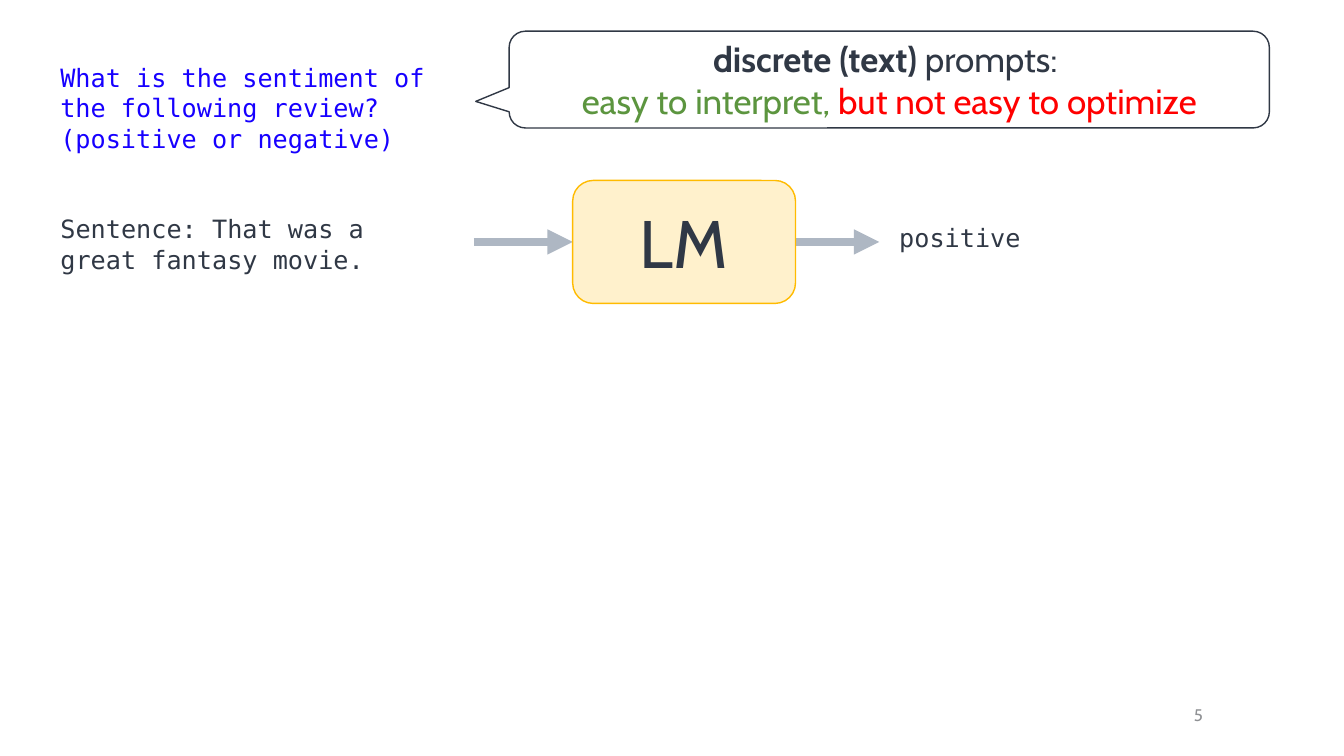
from dataclasses import dataclass

from lxml import etree
from pptx import Presentation
from pptx import util as u
from pptx.dml.color import RGBColor
from pptx.enum import shapes, text
from pptx.oxml import ns
from pptx.shapes.autoshape import Shape
from pptx.slide import Slide

COLORS = {
    "ink": "303845",
    "prompt": "1700FF",
    "number": "8F9194",
    "arrow": "AEB7C3",
    "model_fill": "FFF1CC",
    "model_line": "FFBB00",
    "white": "FFFFFF",
    "good": "5C953F",
    "bad": "FF0000",
}
SANS = "Cabin"
MONO = "DejaVu Sans Mono"
ARROW_Y = 2.4


@dataclass
class Box:
    left: float
    top: float
    width: float
    height: float


@dataclass
class Piece:
    text: str
    color: str = "ink"
    bold: bool = False
    break_after: bool = False


@dataclass
class Label:
    box: Box
    piece: Piece
    font: str = MONO
    size: float = 18
    align: text.PP_ALIGN = text.PP_ALIGN.LEFT
    anchor: text.MSO_ANCHOR = text.MSO_ANCHOR.TOP


@dataclass
class Node:
    kind: shapes.MSO_SHAPE
    box: Box
    fill: str
    line: str
    size: float
    pieces: list[Piece]
    adjustments: tuple[float, ...] = ()
    side_inset: float = 0.1


@dataclass
class Arrow:
    start: float
    end: float


LABELS = [
    Label(Box(0.5, 0.57, 4.06, 1.31),
          Piece("What is the sentiment of the following review? (positive or negative)", "prompt")),
    Label(Box(0.5, 2.07, 3.82, 0.71), Piece("Sentence: That was a great fantasy movie.")),
    Label(Box(8.82, 2.16, 3.03, 0.4), Piece("positive")),
    Label(Box(11.45, 6.89, 0.58, 0.4), Piece("5", "number"), SANS, 12,
          text.PP_ALIGN.RIGHT, text.MSO_ANCHOR.MIDDLE),
]
NODES = [
    Node(shapes.MSO_SHAPE.ROUNDED_RECTANGLE, Box(5.68, 1.79, 2.21, 1.22),
         "model_fill", "model_line", 48, [Piece("LM")]),
    Node(shapes.MSO_SHAPE.ROUNDED_RECTANGULAR_CALLOUT, Box(5.05, 0.31, 7.54, 0.96),
         "white", "ink", 25,
         [Piece("discrete (text) ", bold=True),
          Piece("prompts: ", break_after=True),
          Piece("easy to interpret, ", "good"),
          Piece("but not easy to optimize", "bad")],
         (-0.544, 0.226, 0.167), 0),
]
ARROWS = [Arrow(4.7, 5.68), Arrow(7.89, 8.72)]


def rgb(name: str) -> RGBColor:
    return RGBColor.from_string(COLORS[name])


def place(box: Box) -> tuple[u.Length, ...]:
    return tuple(u.Inches(v) for v in (box.left, box.top, box.width, box.height))


def write(sp: Shape, pieces: list[Piece], font: str, size: float,
          align: text.PP_ALIGN, anchor: text.MSO_ANCHOR) -> None:
    tf = sp.text_frame
    tf.word_wrap = True
    tf.vertical_anchor = anchor
    p = tf.paragraphs[0]
    p.alignment = align
    for piece in pieces:
        r = p.add_run()
        r.text = piece.text
        r.font.name = font
        r.font.size = u.Pt(size)
        r.font.bold = piece.bold
        r.font.color.rgb = rgb(piece.color)
        if piece.break_after:
            p.add_line_break()


def add_label(s: Slide, label: Label) -> None:
    sp = s.shapes.add_textbox(*place(label.box))
    write(sp, [label.piece], label.font, label.size, label.align, label.anchor)


def add_node(s: Slide, node: Node) -> None:
    sp = s.shapes.add_shape(node.kind, *place(node.box))
    sp.shadow.inherit = False
    for i, value in enumerate(node.adjustments):
        sp.adjustments[i] = value
    sp.fill.solid()
    sp.fill.fore_color.rgb = rgb(node.fill)
    sp.line.color.rgb = rgb(node.line)
    sp.line.width = u.Pt(1)
    sp.text_frame.margin_left = sp.text_frame.margin_right = u.Inches(node.side_inset)
    write(sp, node.pieces, SANS, node.size, text.PP_ALIGN.CENTER, text.MSO_ANCHOR.MIDDLE)


def add_arrow(s: Slide, arrow: Arrow) -> None:
    y = u.Inches(ARROW_Y)
    line = s.shapes.add_connector(shapes.MSO_CONNECTOR.STRAIGHT,
                                  u.Inches(arrow.start), y, u.Inches(arrow.end), y)
    line.line.color.rgb = rgb("arrow")
    line.line.width = u.Pt(6)
    props = line._element.spPr
    etree.SubElement(props.find(ns.qn("a:ln")), ns.qn("a:tailEnd"), type="triangle")
    etree.SubElement(props, ns.qn("a:effectLst"))


def main() -> None:
    prs = Presentation()
    prs.slide_width = u.Inches(13.33)
    prs.slide_height = u.Inches(7.5)
    s = prs.slides.add_slide(prs.slide_layouts[6])
    for label in LABELS:
        add_label(s, label)
    for arrow in ARROWS:
        add_arrow(s, arrow)
    for node in NODES:
        add_node(s, node)
    prs.save("out.pptx")


if __name__ == "__main__":
    main()
